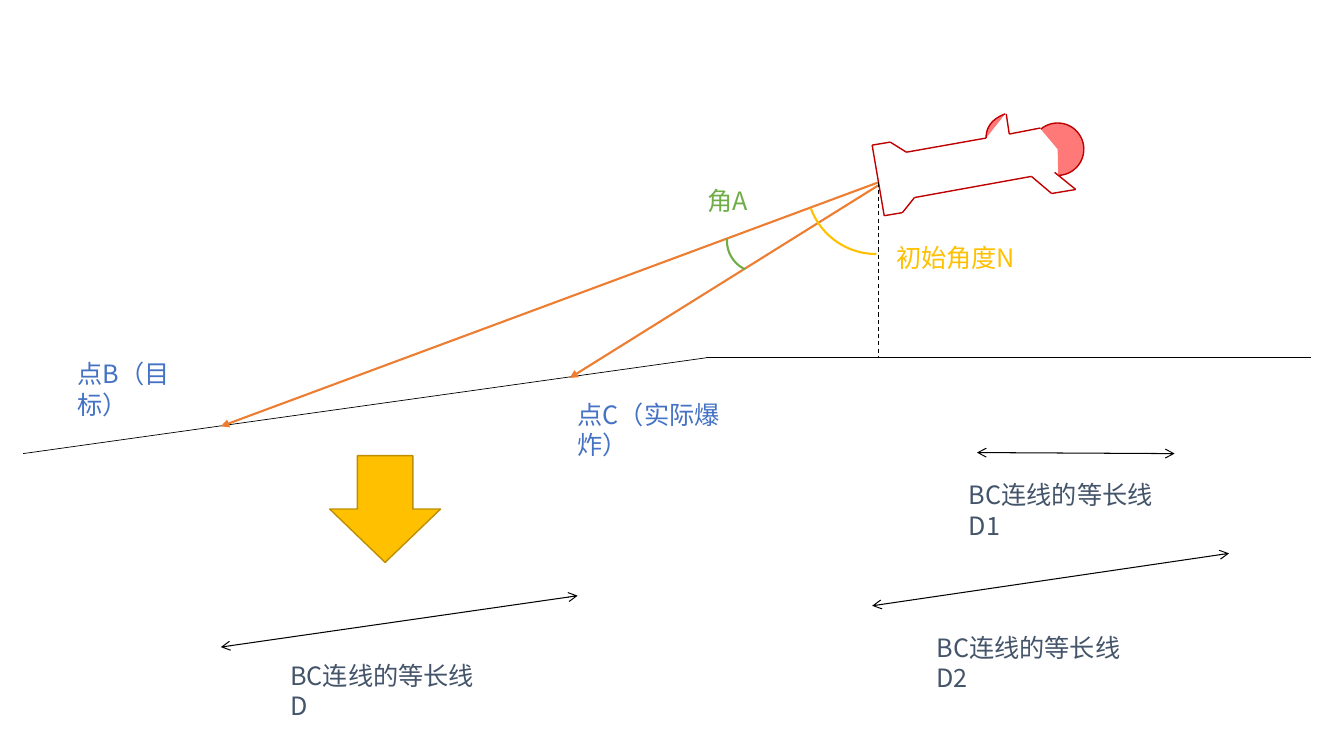
from dataclasses import dataclass
from itertools import pairwise

from lxml import etree
from pptx import Presentation
from pptx.dml.color import RGBColor
from pptx.enum.dml import MSO_LINE
from pptx.enum.shapes import MSO_CONNECTOR, MSO_SHAPE
from pptx.enum.text import MSO_AUTO_SIZE
from pptx.oxml.ns import qn
from pptx.util import Inches, Pt

STRAIGHT = MSO_CONNECTOR.STRAIGHT
ARC, DOWN_ARROW = MSO_SHAPE.ARC, MSO_SHAPE.DOWN_ARROW
DASH = MSO_LINE.DASH
GROW = MSO_AUTO_SIZE.SHAPE_TO_FIT_TEXT


@dataclass(frozen=True)
class Theme:
    font: str = "Noto Sans CJK SC"
    label_size: int = 18
    black: str = "000000"
    blue: str = "4472C4"
    slate: str = "44546A"
    green: str = "70AD47"
    gold: str = "FFC000"
    gold_edge: str = "BD8E00"
    orange: str = "ED7D31"
    red: str = "C00000"
    pink: str = "FF7979"
    ground: float = 0.5
    thin: float = 0.75
    outline: float = 1
    thick: float = 1.5


THEME = Theme()

ROCKET_BODY = [
    (10.46, 1.71), (10.67, 1.88), (10.43, 1.92), (10.23, 1.75),
    (9.07, 1.96), (8.95, 2.11), (8.77, 2.14), (8.65, 1.44),
    (8.83, 1.41), (8.99, 1.51), (9.78, 1.37),
]
ROCKET_FIN_BACK = [(9.98, 1.13), (10.01, 1.33), (10.32, 1.27)]
ROCKET_FIN_CURVE = [(9.97, 1.13), (9.84, 1.18), (9.78, 1.26), (9.78, 1.37)]
FIN_STEPS = 16

LABELS = [
    ("角A", (6.92, 1.79, 0.62), THEME.green),
    ("点B（目标）", (0.67, 3.51, 1.52), THEME.blue),
    ("点C（实际爆炸）", (5.63, 3.91, 2.06), THEME.blue),
    ("BC连线的等长线D", (2.78, 6.5, 2.19), THEME.slate),
    ("BC连线的等长线D1", (9.51, 4.71, 2.32), THEME.slate),
    ("BC连线的等长线D2", (9.19, 6.22, 2.32), THEME.slate),
    ("初始角度N", (8.79, 2.36, 1.4), THEME.gold),
]
EQUAL_LENGTHS = [
    ((2.19, 6.42), (5.73, 5.91)),
    ((9.69, 4.49), (11.65, 4.5)),
    ((8.65, 6.01), (12.19, 5.49)),
]


def style_shape(shape, color, width, fill=None):
    shape.shadow.inherit = False
    shape.line.color.rgb = RGBColor.from_string(color)
    shape.line.width = Pt(width)
    if fill:
        shape.fill.solid()
        shape.fill.fore_color.rgb = RGBColor.from_string(fill)
    else:
        shape.fill.background()


def add_line(shapes, start, end, color, width, head=None, tail=None, dash=None):
    """Draw a straight line; head is the arrowhead at start, tail at end."""
    points = [Inches(value) for value in (*start, *end)]
    connector = shapes.add_connector(STRAIGHT, *points)
    connector.line.color.rgb = RGBColor.from_string(color)
    connector.line.width = Pt(width)
    if dash:
        connector.line.dash_style = dash
    properties = connector._element.spPr
    outline = properties.find(qn("a:ln"))
    for tag, kind in (("a:headEnd", head), ("a:tailEnd", tail)):
        if kind:
            etree.SubElement(outline, qn(tag)).set("type", kind)
    etree.SubElement(properties, qn("a:effectLst"))


def add_arc(shapes, left, top, size, rotation, angles, color, width, fill=None):
    """Draw a circular arc; angles are in the preset's units of 100000."""
    arc = shapes.add_shape(
        ARC, Inches(left), Inches(top), Inches(size), Inches(size))
    arc.rotation = rotation
    for index, angle in enumerate(angles):
        arc.adjustments[index] = angle
    style_shape(arc, color, width, fill)


def add_label(shapes, text, place, color):
    left, top, width = place
    box = shapes.add_textbox(
        Inches(left), Inches(top), Inches(width), Inches(0.4))
    box.text_frame.word_wrap = True
    box.text_frame.auto_size = GROW
    span = box.text_frame.paragraphs[0].add_run()
    span.text = text
    span.font.name = THEME.font
    span.font.size = Pt(THEME.label_size)
    span.font.color.rgb = RGBColor.from_string(color)
    east_asian = etree.SubElement(span.font._element, qn("a:ea"))
    east_asian.set("typeface", THEME.font)


def bezier_point(controls, t):
    weights = ((1 - t) ** 3, 3 * t * (1 - t) ** 2, 3 * t * t * (1 - t), t ** 3)
    return tuple(
        Inches(sum(weight * point[axis]
                   for weight, point in zip(weights, controls)))
        for axis in (0, 1))


def add_rocket(shapes):
    rocket = shapes.add_group_shape().shapes
    for outline in (ROCKET_BODY, ROCKET_FIN_BACK):
        for start, end in pairwise(outline):
            add_line(rocket, start, end, THEME.red, THEME.outline)
    curve = [bezier_point(ROCKET_FIN_CURVE, step / FIN_STEPS)
             for step in range(FIN_STEPS + 1)]
    builder = rocket.build_freeform(*curve[0])
    builder.add_line_segments(curve[1:], close=False)
    style_shape(builder.convert_to_shape(), THEME.red, THEME.outline, THEME.pink)
    add_arc(rocket, 10.23, 1.22, 0.52, 350, (144.04, 59.19),
            THEME.red, THEME.outline, THEME.pink)


def add_ground(shapes):
    edge = (7, 3.55)
    for end in ((13, 3.55), (0.23, 4.5)):
        add_line(shapes, edge, end, THEME.black, THEME.ground)


def add_trajectories(shapes):
    launch = (8.71, 1.81)
    for start, target in ((launch, (2.19, 4.23)), ((8.71, 1.84), (5.65, 3.75))):
        add_line(shapes, start, target, THEME.orange, THEME.thick,
                 tail="triangle")
    add_line(shapes, launch, (8.71, 3.55), THEME.black, THEME.thin, dash=DASH)
    add_arc(shapes, 7.21, 2.08, 0.62, 180, (176.99, 2.49),
            THEME.green, THEME.thick)
    add_arc(shapes, 8, 1.14, 1.38, 180, (161.92, 203.99),
            THEME.gold, THEME.thick)


def add_down_arrow(shapes):
    arrow = shapes.add_shape(
        DOWN_ARROW, Inches(3.27), Inches(4.52), Inches(1.1), Inches(1.06))
    style_shape(arrow, THEME.gold_edge, THEME.outline, THEME.gold)


def main():
    deck = Presentation()
    deck.slide_width, deck.slide_height = Inches(13.33), Inches(7.5)
    shapes = deck.slides.add_slide(deck.slide_layouts[6]).shapes
    add_ground(shapes)
    add_rocket(shapes)
    add_trajectories(shapes)
    for start, end in EQUAL_LENGTHS:
        add_line(shapes, start, end, THEME.black, THEME.thin,
                 head="arrow", tail="arrow")
    add_down_arrow(shapes)
    for text, place, color in LABELS:
        add_label(shapes, text, place, color)
    deck.save("out.pptx")


if __name__ == "__main__":
    main()
